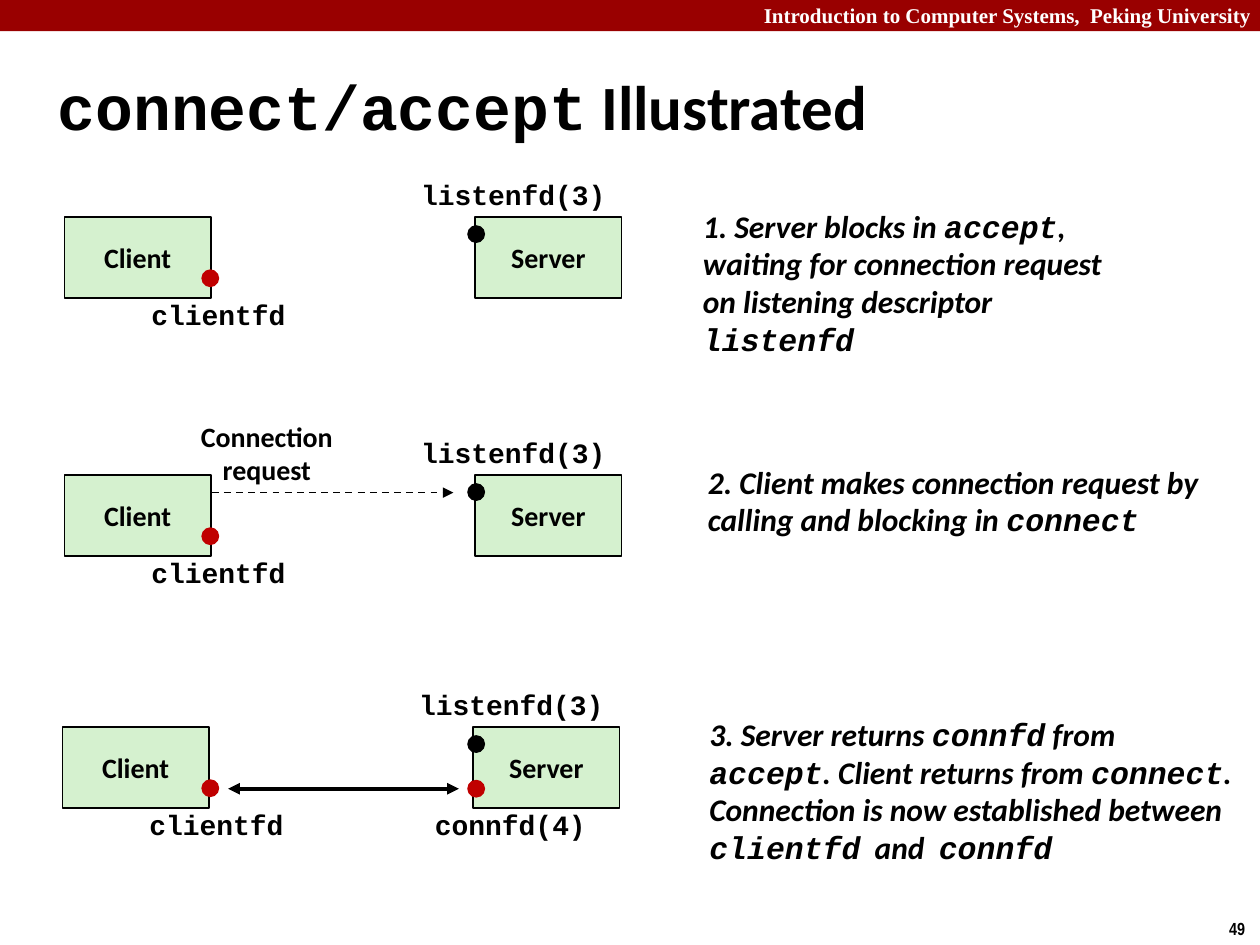
from dataclasses import dataclass

from lxml.etree import SubElement
from pptx import Presentation
from pptx.dml.color import RGBColor
from pptx.enum.dml import MSO_LINE
from pptx.enum.shapes import MSO_CONNECTOR, MSO_SHAPE
from pptx.enum.text import MSO_ANCHOR, PP_ALIGN
from pptx.oxml.ns import qn
from pptx.util import Cm, Pt


@dataclass(frozen=True)
class Theme:
    black: RGBColor = RGBColor(0x00, 0x00, 0x00)
    white: RGBColor = RGBColor(0xFF, 0xFF, 0xFF)
    banner: RGBColor = RGBColor(0x99, 0x00, 0x00)
    box: RGBColor = RGBColor(0xD5, 0xF1, 0xCF)
    connected: RGBColor = RGBColor(0xC0, 0x00, 0x00)
    text_font: str = "Calibri"
    code_font: str = "Courier New"
    banner_font: str = "Times New Roman"
    number_font: str = "Arial Narrow"
    title_size: int = 36
    step_size: int = 18
    label_size: int = 16
    banner_size: int = 12
    number_size: int = 10


class SlideBuilder:
    def __init__(self, slide, theme):
        self.slide = slide
        self.theme = theme

    def fill_text(self, frame, text, size, font=None, color=None, align=PP_ALIGN.CENTER, italic=False):
        frame.vertical_anchor = MSO_ANCHOR.MIDDLE
        for index, line in enumerate(text.split("\n")):
            paragraph = frame.paragraphs[0] if index == 0 else frame.add_paragraph()
            paragraph.alignment = align
            paragraph.font.size = Pt(size)
            paragraph.font.bold = True
            paragraph.font.italic = italic
            paragraph.font.color.rgb = color or self.theme.black
            pieces = line.split("`")
            if len(pieces) == 1:
                paragraph.font.name = font or self.theme.text_font
            for position, piece in enumerate(pieces):
                if piece:
                    run = paragraph.add_run()
                    run.text = piece
                    if len(pieces) > 1:
                        run.font.name = self.theme.code_font if position % 2 else self.theme.text_font

    def title(self, text):
        title = self.slide.shapes.title
        title.left, title.top, title.width, title.height = Cm(0.91), Cm(1.32), Cm(23.29), Cm(1.6)
        self.fill_text(title.text_frame, text, self.theme.title_size, align=PP_ALIGN.LEFT)

    def text(self, text, left, top, width, height, size, wrap=False, **style):
        box = self.slide.shapes.add_textbox(Cm(left), Cm(top), Cm(width), Cm(height))
        box.text_frame.word_wrap = wrap
        self.fill_text(box.text_frame, text, size, **style)

    def code_label(self, text, left, top, width):
        self.text(text, left, top, width, 0.94, self.theme.label_size, font=self.theme.code_font)

    def step(self, text, left, top, width, height):
        self.text(text, left, top, width, height, self.theme.step_size,
                  wrap=True, align=PP_ALIGN.LEFT, italic=True)

    def shape(self, kind, left, top, width, height, color):
        shape = self.slide.shapes.add_shape(kind, Cm(left), Cm(top), Cm(width), Cm(height))
        shape.shadow.inherit = False
        shape.fill.solid()
        shape.fill.fore_color.rgb = color
        shape.line.fill.background()
        return shape

    def banner(self, text):
        self.shape(MSO_SHAPE.RECTANGLE, 0, 0, 25.4, 0.63, self.theme.banner)
        self.text(text, 10.36, -0.07, 15.22, 0.77, self.theme.banner_size, wrap=True,
                  font=self.theme.banner_font, color=self.theme.white, align=PP_ALIGN.RIGHT)

    def page_number(self, number):
        self.text(number, 24.53, 18.37, 0.87, 0.68, self.theme.number_size,
                  font=self.theme.number_font, align=PP_ALIGN.LEFT)

    def process(self, name, left, top):
        shape = self.shape(MSO_SHAPE.RECTANGLE, left, top, 2.95, 1.63, self.theme.box)
        shape.line.color.rgb = self.theme.black
        shape.line.width = Pt(1)
        shape.text_frame.word_wrap = False
        self.fill_text(shape.text_frame, name, self.theme.label_size)

    def descriptor(self, left, top, color):
        self.shape(MSO_SHAPE.OVAL, left, top, 0.36, 0.36, color)

    def arrow(self, start, end, top, width, dash=None, ends=("tailEnd",)):
        connector = self.slide.shapes.add_connector(
            MSO_CONNECTOR.STRAIGHT, Cm(start), Cm(top), Cm(end), Cm(top))
        connector.line.color.rgb = self.theme.black
        connector.line.width = Pt(width)
        if dash:
            connector.line.dash_style = dash
        properties = connector.element.spPr
        outline = properties.find(qn("a:ln"))
        for end_name in ends:
            SubElement(outline, qn(f"a:{end_name}"), type="triangle")
        SubElement(properties, qn("a:effectLst"))

    def client_and_server(self, top, shift):
        self.process("Client", 1.3 + shift, top)
        self.process("Server", 9.58 + shift, top)
        self.code_label("listenfd(3)", 8.23 + shift, top - 0.93, 4.24)
        self.code_label("clientfd", 2.79 + shift, top + 1.48, 3.23)
        self.descriptor(4.06, top + 1.05, self.theme.connected)
        self.descriptor(9.42, top + 0.16, self.theme.black)


def main():
    presentation = Presentation()
    presentation.slide_width, presentation.slide_height = Cm(25.4), Cm(19.05)
    slide = presentation.slides.add_slide(presentation.slide_layouts[5])
    theme = Theme()
    builder = SlideBuilder(slide, theme)

    builder.banner("Introduction to Computer Systems,  Peking University ")
    builder.title("`connect/accept` Illustrated")
    builder.page_number("49")

    for top, shift in ((4.38, 0), (9.58, 0), (14.66, -0.04)):
        builder.client_and_server(top, shift)

    builder.text("Connection\nrequest", 3.78, 8.31, 3.2, 1.63, theme.label_size)
    builder.arrow(4.27, 9.14, 9.93, 1, dash=MSO_LINE.DASH)

    builder.descriptor(9.42, 15.72, theme.connected)
    builder.code_label("connfd(4)", 8.51, 16.15, 3.56)
    builder.arrow(4.6, 9.25, 15.9, 2.25, ends=("headEnd", "tailEnd"))

    builder.step("1. Server blocks in `accept`, waiting for connection request "
                 "on listening descriptor `listenfd`", 13.92, 4.04, 9.14, 3.3)
    builder.step("2. Client makes connection request by calling and blocking in `connect`",
                 14.02, 9.19, 10.74, 1.8)
    builder.step("3. Server returns `connfd` from `accept`. Client returns from `connect`. "
                 "Connection is now established between `clientfd`  and  `connfd`",
                 14.05, 14.27, 11.15, 3.33)

    presentation.save("out.pptx")


if __name__ == "__main__":
    main()
